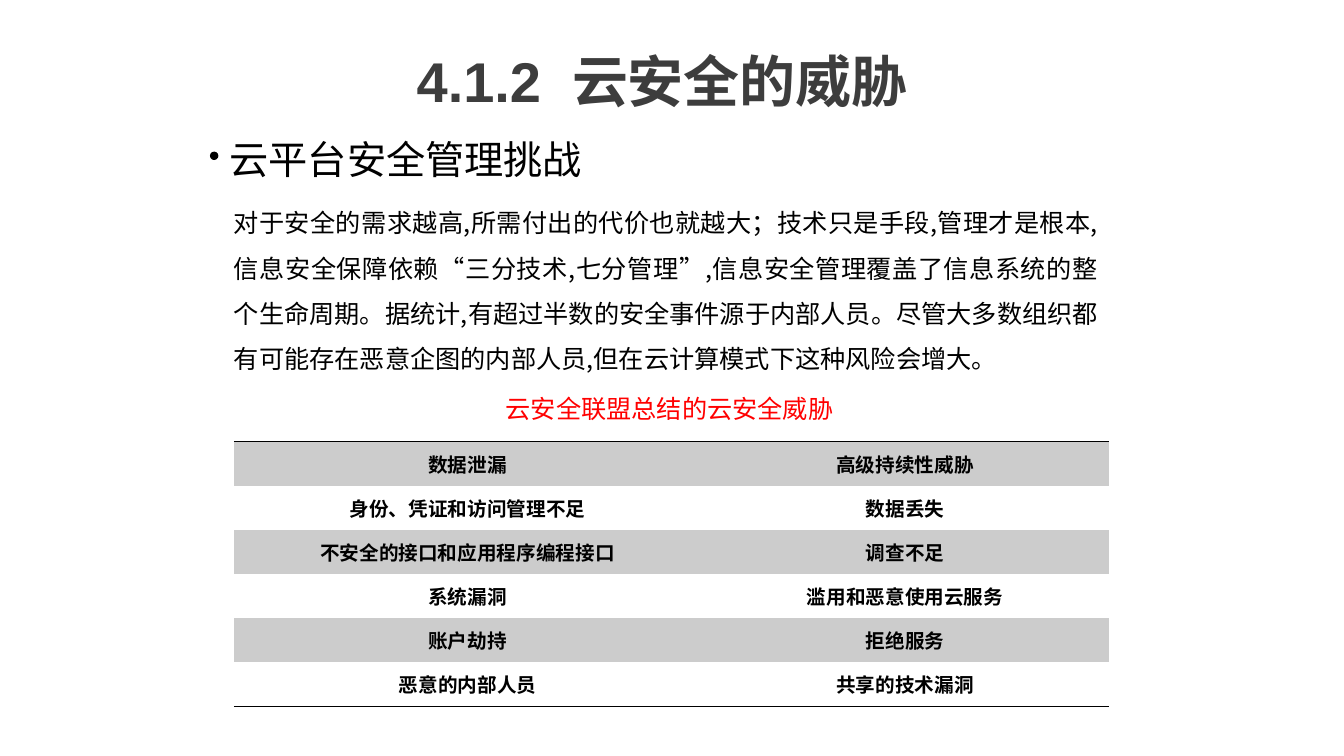
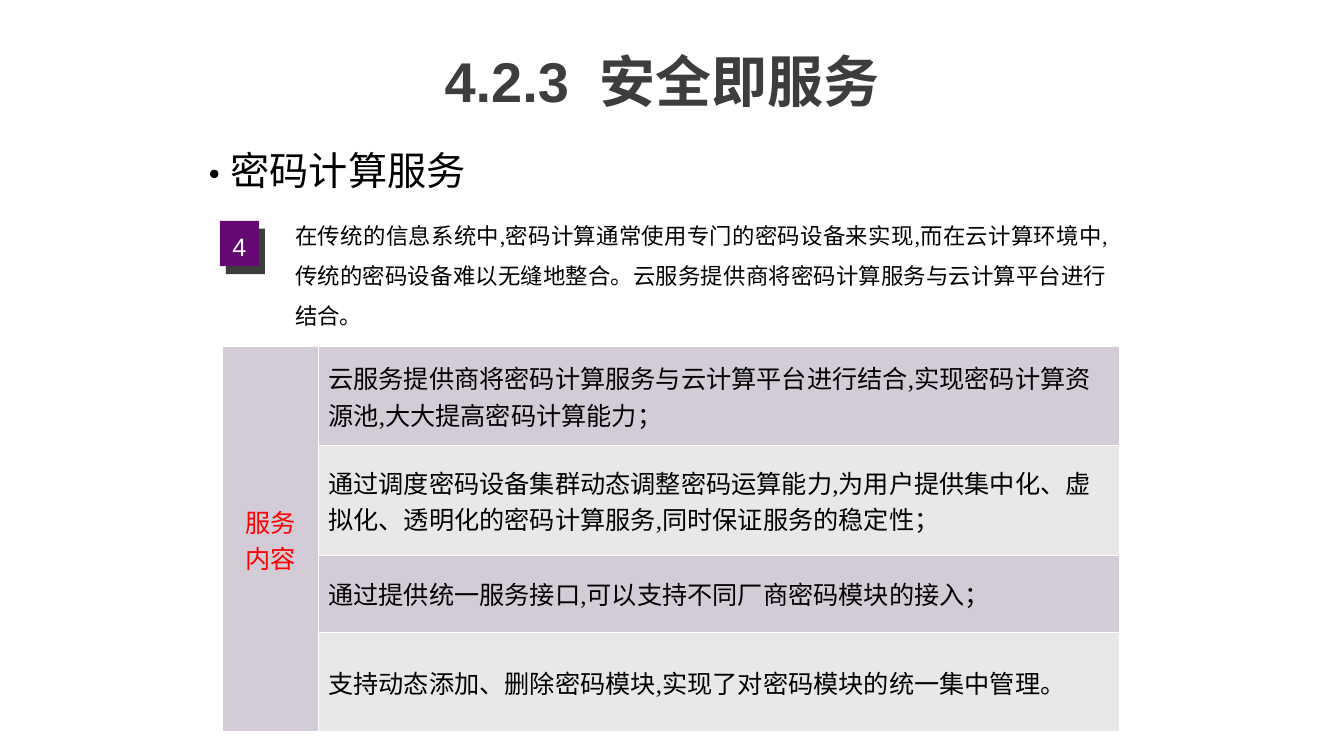
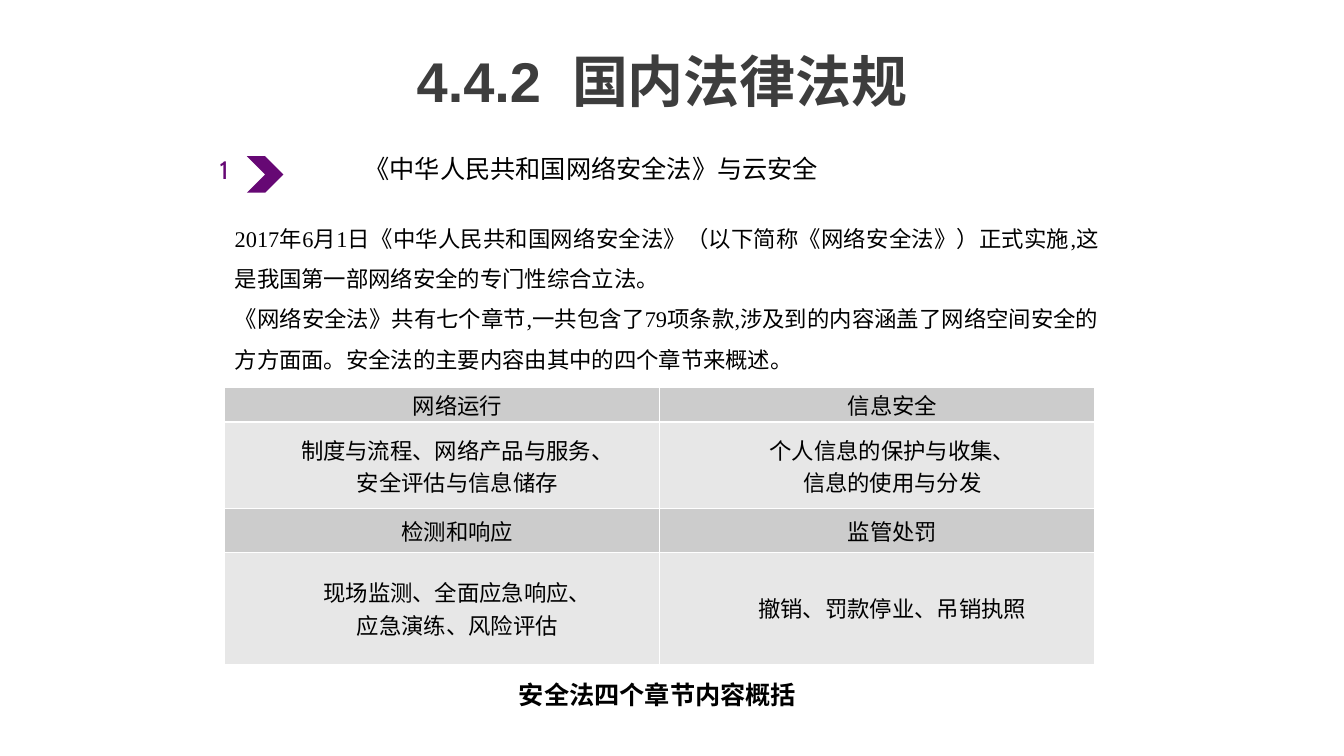
from dataclasses import dataclass
from typing import Optional

from lxml import etree
from pptx import Presentation
from pptx.dml.color import RGBColor
from pptx.enum.shapes import MSO_SHAPE
from pptx.enum.text import MSO_ANCHOR, PP_ALIGN
from pptx.oxml.ns import qn
from pptx.util import Pt

BLACK = RGBColor(0x00, 0x00, 0x00)
WHITE = RGBColor(0xFF, 0xFF, 0xFF)
RED = RGBColor(0xFF, 0x00, 0x00)
DARK = RGBColor(0x3D, 0x3D, 0x3D)
PLUM = RGBColor(0x66, 0x08, 0x74)
GRAY = RGBColor(0xCC, 0xCC, 0xCC)
PALE = RGBColor(0xE7, 0xE7, 0xE7)
MAUVE = RGBColor(0xD3, 0xCC, 0xD6)
MIST = RGBColor(0xEA, 0xE7, 0xEB)

NOTO, TIMES, ARIAL, CABIN = "Noto Sans CJK SC", "Times New Roman", "Arial", "Cabin"
LEFT, CENTER, JUSTIFY = PP_ALIGN.LEFT, PP_ALIGN.CENTER, PP_ALIGN.JUSTIFY
MIDDLE = MSO_ANCHOR.MIDDLE
OVAL, RECT, CHEVRON = MSO_SHAPE.OVAL, MSO_SHAPE.RECTANGLE, MSO_SHAPE.CHEVRON


@dataclass(frozen=True)
class Box:
    left: float
    top: float
    width: float
    height: float

    def pts(self) -> list:
        return [Pt(v) for v in (self.left, self.top, self.width, self.height)]


@dataclass(frozen=True)
class Style:
    size: float
    font: str = NOTO
    color: RGBColor = BLACK
    bold: bool = False
    align: PP_ALIGN = LEFT
    lead: Optional[float] = None
    indent: float = 0


@dataclass(frozen=True)
class Grid:
    box: Box
    cols: list
    rows: list
    side: Optional[float] = None  # left and right cell margin, with none above
    rule: Optional[RGBColor] = None  # colour of all inner and outer borders


TITLE = Style(40, ARIAL, DARK, True, CENTER)
HEAD = Style(28)
CELL = Style(14, CABIN, bold=True, align=CENTER, indent=21.6)


# Text
def style_par(par, style: Style) -> None:
    par.alignment = style.align
    if style.lead:
        par.line_spacing = style.lead
    if style.indent:
        props = par._p.get_or_add_pPr()
        props.set("marL", "0")
        props.set("indent", str(int(Pt(style.indent))))
    font = par.font
    font.size, font.name, font.bold = Pt(style.size), style.font, style.bold
    font.color.rgb = style.color


def write(frame, text: str, style: Style) -> None:
    for i, line in enumerate(text.split("\n")):
        par = frame.paragraphs[0] if i == 0 else frame.add_paragraph()
        par.add_run().text = line
        style_par(par, style)


def add_text(slide, box: Box, text: str, style: Style, wrap: bool = True):
    frame = slide.shapes.add_textbox(*box.pts()).text_frame
    frame.word_wrap = wrap
    write(frame, text, style)
    return frame


def add_title(slide, number: str, name: str) -> None:
    frame = add_text(slide, Box(167, 29.5, 612, 60), number, TITLE)
    gap, rest = (frame.paragraphs[0].add_run() for _ in range(2))
    gap.text, rest.text = " ", name
    gap._r.get_or_add_rPr().set("spc", "1100")  # wide gap after the number


# Shapes
def add_form(slide, kind, box: Box, fill: RGBColor):
    form = slide.shapes.add_shape(kind, *box.pts())
    form.shadow.inherit = False
    form.fill.solid()
    form.fill.fore_color.rgb = fill
    form.line.fill.background()
    return form


def add_head(slide, text: str, box: Box, dot: float) -> None:
    add_text(slide, box, text, HEAD, wrap=False)
    add_form(slide, OVAL, Box(150, dot, 6, 6), BLACK)


# Tables
def set_edge(cell, side: str, color: Optional[RGBColor]) -> None:
    props = cell._tc.get_or_add_tcPr()
    edge = etree.SubElement(props, qn(f"a:ln{side}"), w=str(int(Pt(1))))
    if color is None:
        etree.SubElement(edge, qn("a:noFill"))
    else:
        solid = etree.SubElement(edge, qn("a:solidFill"))
        etree.SubElement(solid, qn("a:srgbClr"), val=str(color))


def add_grid(slide, grid: Grid):
    table = slide.shapes.add_table(len(grid.rows), len(grid.cols), *grid.box.pts()).table
    table.first_row = table.horz_banding = False
    for col, width in zip(table.columns, grid.cols):
        col.width = Pt(width)
    for row, height in zip(table.rows, grid.rows):
        row.height = Pt(height)
    return table


def fill_cell(cell, grid: Grid, text: str, style: Style,
              fill: Optional[RGBColor], edges: dict) -> None:
    cell.vertical_anchor = MIDDLE
    if grid.side is not None:
        cell.margin_left = cell.margin_right = Pt(grid.side)
        cell.margin_top = cell.margin_bottom = 0
    for side in "LRTB":
        set_edge(cell, side, edges.get(side, grid.rule))
    if fill is None:
        cell.fill.background()
    else:
        cell.fill.solid()
        cell.fill.fore_color.rgb = fill
    if text:
        write(cell.text_frame, text, style)


# Slides
def draw_threats(slide) -> None:
    add_head(slide, "云平台安全管理挑战", Box(157, 93, 266.4, 41), 108.3)
    add_text(slide, Box(160, 134, 631.4, 138),
             "对于安全的需求越高,所需付出的代价也就越大；技术只是手段,管理才是根本,"
             "信息安全保障依赖“三分技术,七分管理”,信息安全管理覆盖了信息系统的整个生命周期。"
             "据统计,有超过半数的安全事件源于内部人员。尽管大多数组织都有可能存在恶意企图的"
             "内部人员,但在云计算模式下这种风险会增大。",
             Style(18, align=JUSTIFY, lead=1.5))
    add_text(slide, Box(354.2, 277.2, 248.4, 29), "云安全联盟总结的云安全威胁",
             Style(18, TIMES, RED), wrap=False)
    pairs = [
        ("数据泄漏", "高级持续性威胁"),
        ("身份、凭证和访问管理不足", "数据丢失"),
        ("不安全的接口和应用程序编程接口", "调查不足"),
        ("系统漏洞", "滥用和恶意使用云服务"),
        ("账户劫持", "拒绝服务"),
        ("恶意的内部人员", "共享的技术漏洞"),
    ]
    grid = Grid(Box(167, 315.4, 625, 189), [312.5] * 2, [31.5] * len(pairs), side=3.6)
    table = add_grid(slide, grid)
    ends = {0: {"T": BLACK}, len(pairs) - 1: {"B": BLACK}}
    for r, pair in enumerate(pairs):
        for c, text in enumerate(pair):
            fill = None if r % 2 else GRAY
            fill_cell(table.cell(r, c), grid, text, CELL, fill, ends.get(r, {}))
    add_title(slide, "4.1.2", "云安全的威胁")


def draw_service(slide) -> None:
    add_head(slide, "密码计算服务", Box(157.7, 100.8, 182.2, 41), 121.2)
    add_text(slide, Box(203.8, 145.4, 594.5, 94.3),
             "在传统的信息系统中,密码计算通常使用专门的密码设备来实现,而在云计算环境中,"
             "传统的密码设备难以无缝地整合。云服务提供商将密码计算服务与云计算平台进行结合。",
             Style(16, TIMES, align=JUSTIFY, lead=1.5))
    add_title(slide, "4.2.3", "安全即服务")

    # Number badge over its dark backing
    add_form(slide, RECT, Box(161.3, 163.4, 28, 32.4), DARK)
    badge = add_form(slide, RECT, Box(157, 157.7, 28, 32.4), PLUM)
    badge.text_frame.vertical_anchor = MIDDLE
    write(badge.text_frame, "4", Style(18, ARIAL, WHITE, align=CENTER, lead=1.2))

    items = [
        "云服务提供商将密码计算服务与云计算平台进行结合,实现密码计算资源池,大大提高密码计算能力；",
        "通过调度密码设备集群动态调整密码运算能力,为用户提供集中化、虚拟化、透明化的密码计算服务,"
        "同时保证服务的稳定性；",
        "通过提供统一服务接口,可以支持不同厂商密码模块的接入；",
        "支持动态添加、删除密码模块,实现了对密码模块的统一集中管理。",
    ]
    grid = Grid(Box(159.2, 247.7, 640.4, 275), [68.2, 572.2], [70.5, 78.5, 55, 71],
                rule=WHITE)
    table = add_grid(slide, grid)
    table.cell(0, 0).merge(table.cell(len(items) - 1, 0))
    for r, item in enumerate(items):
        label = "" if r else "服务\n内容"
        fill_cell(table.cell(r, 0), grid, label, Style(18, color=RED, align=CENTER), MAUVE, {})
        fill_cell(table.cell(r, 1), grid, item, Style(18, TIMES), MIST if r % 2 else MAUVE, {})


def draw_laws(slide) -> None:
    add_text(slide, Box(160.6, 147.6, 631.4, 123.8),
             "2017年6月1日《中华人民共和国网络安全法》（以下简称《网络安全法》）正式实施,"
             "这是我国第一部网络安全的专门性综合立法。\n"
             "《网络安全法》共有七个章节,一共包含了79项条款,涉及到的内容涵盖了网络空间安全的"
             "方方面面。安全法的主要内容由其中的四个章节来概述。",
             Style(16, TIMES, align=JUSTIFY, lead=1.5))
    pairs = [
        ("网络运行", "信息安全"),
        ("制度与流程、网络产品与服务、\n安全评估与信息储存",
         "个人信息的保护与收集、\n信息的使用与分发"),
        ("检测和响应", "监管处罚"),
        ("现场监测、全面应急响应、\n应急演练、风险评估", "撤销、罚款停业、吊销执照"),
    ]
    grid = Grid(Box(160.6, 276.5, 621.4, 198), [310.7] * 2, [25, 62, 31, 80],
                side=4.3, rule=WHITE)
    table = add_grid(slide, grid)
    style = Style(16, align=CENTER, indent=21.6)
    for r, pair in enumerate(pairs):
        for c, text in enumerate(pair):
            fill_cell(table.cell(r, c), grid, text, style, PALE if r % 2 else GRAY, {})
    add_text(slide, Box(363.6, 481.7, 213.8, 29), "安全法四个章节内容概括",
             Style(18, bold=True), wrap=False)
    add_title(slide, "4.4.2", "国内法律法规")

    # Section label
    label = add_text(slide, Box(254.3, 104.4, 336, 32.4),
                     "《中华人民共和国网络安全法》与云安全", Style(18, align=CENTER), wrap=False)
    label.vertical_anchor = MIDDLE
    label.margin_left = label.margin_right = label.margin_top = label.margin_bottom = 0
    add_form(slide, CHEVRON, Box(176.4, 111.6, 26, 26), PLUM)
    add_text(slide, Box(149.8, 106.6, 15, 36), "1", Style(18, CABIN, PLUM))


def main() -> None:
    deck = Presentation()
    deck.slide_width, deck.slide_height = Pt(960), Pt(540)
    for draw in (draw_threats, draw_service, draw_laws):
        draw(deck.slides.add_slide(deck.slide_layouts[6]))
    deck.save("out.pptx")


if __name__ == "__main__":
    main()
